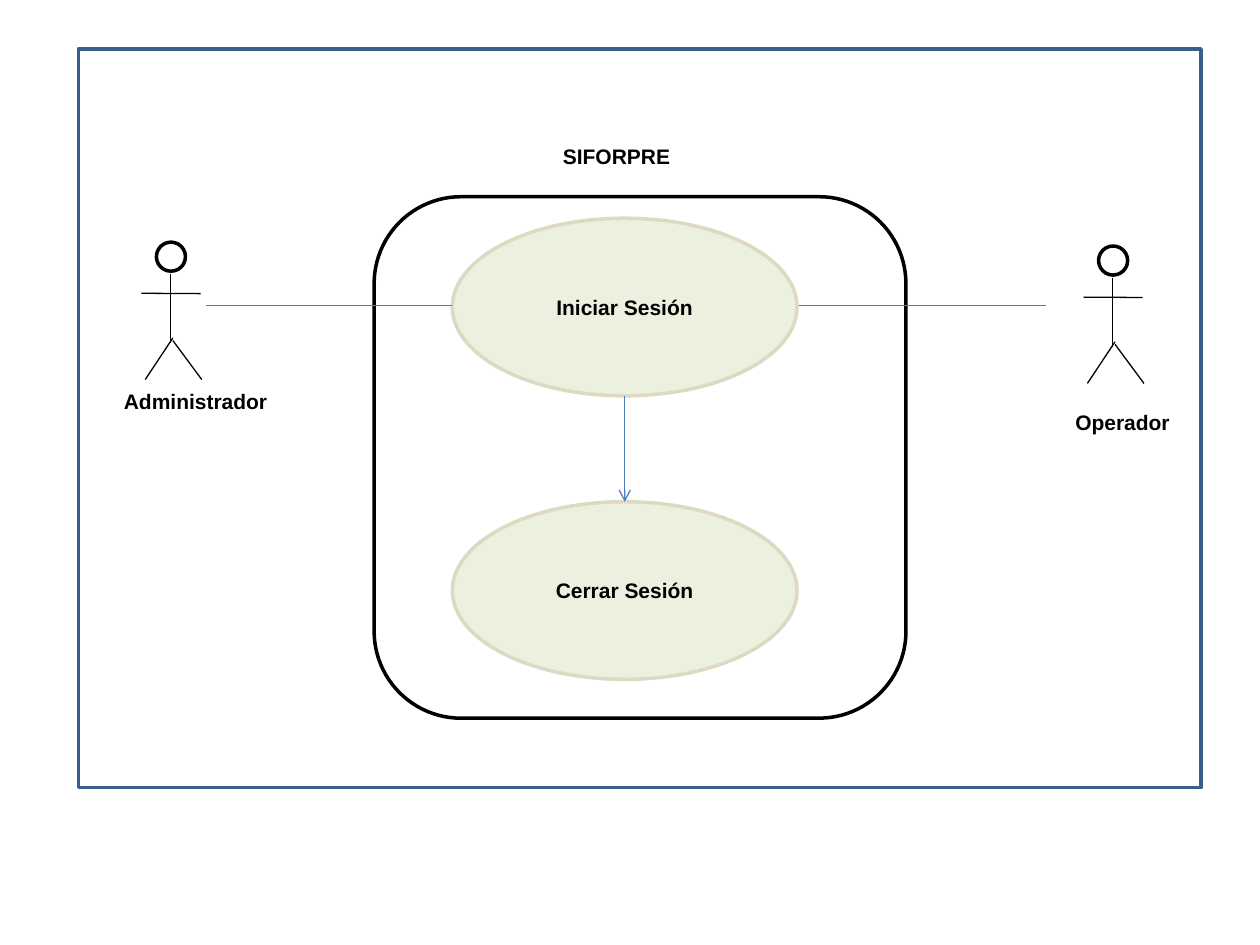
from lxml.etree import SubElement
from pptx import Presentation
from pptx.dml.color import RGBColor
from pptx.enum.shapes import MSO_CONNECTOR, MSO_SHAPE
from pptx.enum.text import MSO_ANCHOR, MSO_AUTO_SIZE, PP_ALIGN
from pptx.oxml.ns import qn
from pptx.util import Pt

BLACK, WHITE = "000000", "FFFFFF"
FRAME_BLUE, LINK_BLUE = "3A5F8C", "4B7EBC"
PALE_GREEN, BEIGE = "EBF1DE", "DDD9C3"

# Body, arms and legs, measured from the top left of the head
ACTOR_HEAD = 16.6
ACTOR_LIMBS = [
    (8, 18, 8, 57.6),
    (-8.6, 29.2, 25.2, 29.4),
    (9.4, 54.7, -6.4, 78.5),
    (9.4, 56.2, 25.9, 78.5),
]


def color(hex_code):
    return RGBColor.from_string(hex_code)


def add_label_run(paragraph, text):
    run = paragraph.add_run()
    run.text = text
    run.font.name = "Arial"
    run.font.size = Pt(12)
    run.font.bold = True
    run.font.color.rgb = color(BLACK)


def add_outlined_shape(slide, kind, left, top, width, height, fill, line):
    shape = slide.shapes.add_shape(kind, Pt(left), Pt(top), Pt(width), Pt(height))
    shape.shadow.inherit = False
    shape.fill.solid()
    shape.fill.fore_color.rgb = color(fill)
    shape.line.color.rgb = color(line)
    shape.line.width = Pt(2)
    return shape


def add_label(slide, text, left, top, width):
    box = slide.shapes.add_textbox(Pt(left), Pt(top), Pt(width), Pt(21.8))
    box.text_frame.word_wrap = False
    box.text_frame.auto_size = MSO_AUTO_SIZE.SHAPE_TO_FIT_TEXT
    add_label_run(box.text_frame.paragraphs[0], text)


def add_line(slide, start_x, start_y, end_x, end_y, line, arrow=False):
    connector = slide.shapes.add_connector(
        MSO_CONNECTOR.STRAIGHT, Pt(start_x), Pt(start_y), Pt(end_x), Pt(end_y))
    connector.line.color.rgb = color(line)
    connector.line.width = Pt(0.75)
    if arrow:
        SubElement(connector.line._get_or_add_ln(), qn("a:tailEnd"), type="arrow")
    SubElement(connector._element.spPr, qn("a:effectLst"))


def add_use_case(slide, text, top):
    ellipse = add_outlined_shape(
        slide, MSO_SHAPE.OVAL, 258.5, top, 197, 101.5, PALE_GREEN, BEIGE)
    ellipse.text_frame.vertical_anchor = MSO_ANCHOR.MIDDLE
    paragraph = ellipse.text_frame.paragraphs[0]
    paragraph.alignment = PP_ALIGN.CENTER
    add_label_run(paragraph, text)


def add_actor(slide, left, top):
    add_outlined_shape(
        slide, MSO_SHAPE.OVAL, left, top, ACTOR_HEAD, ACTOR_HEAD, WHITE, BLACK)
    for start_x, start_y, end_x, end_y in ACTOR_LIMBS:
        add_line(slide, left + start_x, top + start_y,
                 left + end_x, top + end_y, BLACK)


def main():
    presentation = Presentation()
    presentation.slide_width, presentation.slide_height = Pt(720), Pt(540)
    slide = presentation.slides.add_slide(presentation.slide_layouts[6])

    # Frame and system boundary
    add_outlined_shape(slide, MSO_SHAPE.RECTANGLE,
                       44.8, 28, 641.6, 422, WHITE, FRAME_BLUE)
    add_label(slide, "SIFORPRE", 314.6, 78.5, 76.3)
    add_outlined_shape(slide, MSO_SHAPE.ROUNDED_RECTANGLE,
                       213.8, 112.4, 303.9, 298, WHITE, BLACK)

    # Use cases
    add_use_case(slide, "Cerrar Sesión", 286.7)
    add_use_case(slide, "Iniciar Sesión", 124.7)

    # Actors
    add_actor(slide, 627.8, 140.6)
    add_label(slide, "Operador", 607.4, 230.6, 69.1)
    add_actor(slide, 89.4, 138.4)
    add_label(slide, "Administrador", 63.7, 218.2, 97.2)

    # Links
    add_line(slide, 357, 226.2, 357, 286.7, LINK_BLUE, arrow=True)
    add_line(slide, 456.5, 174.4, 597.6, 174.4, LINK_BLUE)
    add_line(slide, 118, 174.4, 258.5, 174.4, LINK_BLUE)

    presentation.save("out.pptx")


main()
